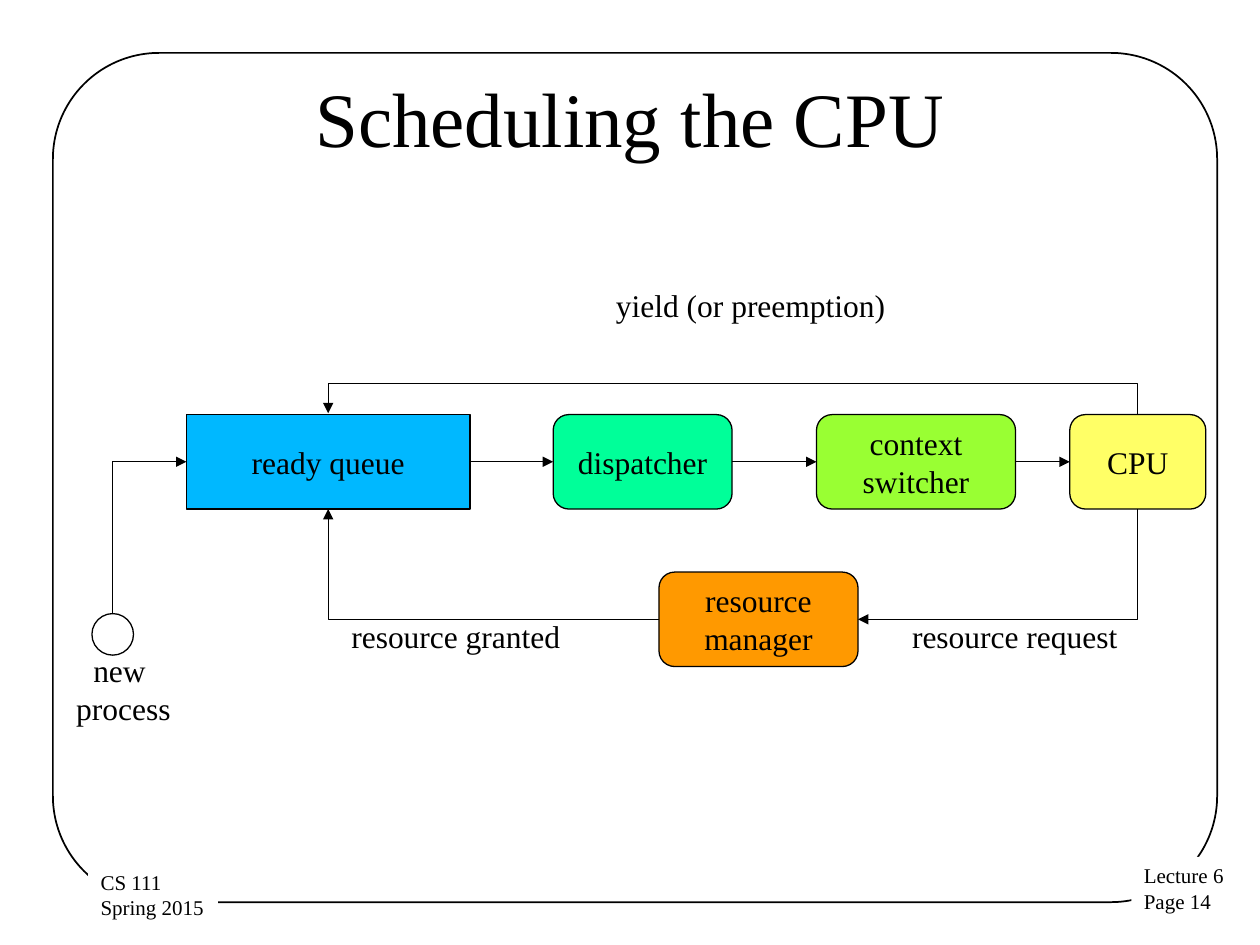
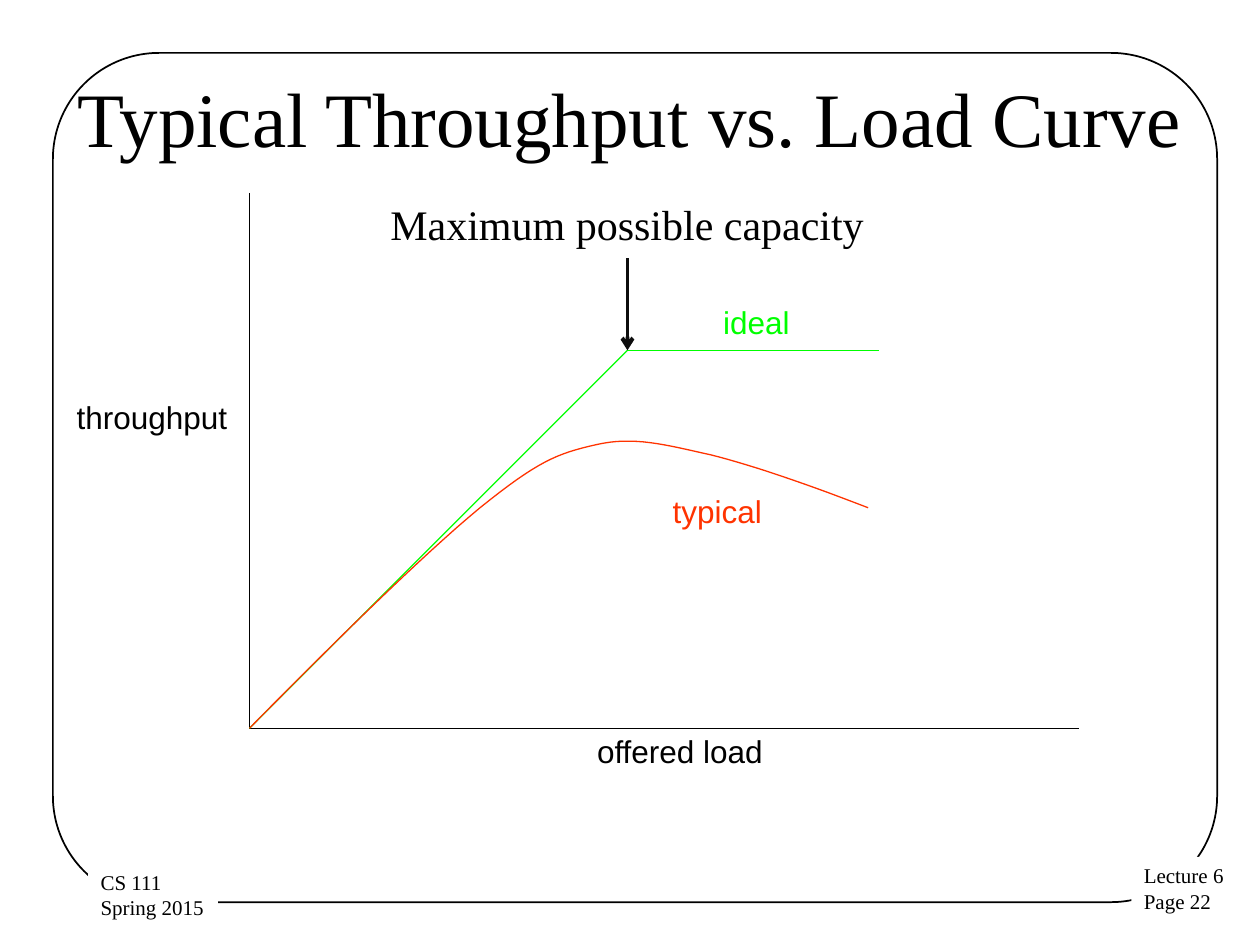
"""Build two lecture slides on CPU scheduling and throughput."""

import dataclasses
import itertools

import lxml.etree
import pptx
import pptx.dml.color
import pptx.enum.shapes
import pptx.enum.text
import pptx.oxml.ns
import pptx.presentation
import pptx.shapes.connector
import pptx.slide
import pptx.text.text
import pptx.util

Inches = pptx.util.Inches
Pt = pptx.util.Pt
RGBColor = pptx.dml.color.RGBColor
Shapes = pptx.enum.shapes.MSO_SHAPE
Connectors = pptx.enum.shapes.MSO_CONNECTOR
Align = pptx.enum.text.PP_ALIGN
Point = tuple[float, float]

BLACK = RGBColor(0x00, 0x00, 0x00)
WHITE = RGBColor(0xFF, 0xFF, 0xFF)
BLUE = RGBColor(0x00, 0xB8, 0xFF)
MINT = RGBColor(0x00, 0xFF, 0x99)
LIME = RGBColor(0x99, 0xFF, 0x33)
YELLOW = RGBColor(0xFF, 0xFF, 0x66)
ORANGE = RGBColor(0xFF, 0x99, 0x00)
GREEN = RGBColor(0x00, 0xFF, 0x00)
RED = RGBColor(0xFF, 0x33, 0x00)
NEAR_BLACK = RGBColor(0x0D, 0x0D, 0x0D)
SERIF = "Times New Roman"
SANS = "Arial"
THIN = 0.75
NODE_HEIGHT = 0.75
ROW_TOP = 3.29


@dataclasses.dataclass(frozen=True)
class Label:
    """A text box with its place and type style."""

    text: str
    left: float
    top: float
    width: float
    height: float
    size: float = 18
    font: str = SERIF
    color: RGBColor = BLACK
    align: Align = Align.LEFT
    fill: RGBColor | None = None


@dataclasses.dataclass(frozen=True)
class Node:
    """A box of the scheduling diagram."""

    text: str
    left: float
    top: float
    width: float
    fill: RGBColor | None
    height: float = NODE_HEIGHT
    outline: Shapes = Shapes.FLOWCHART_ALTERNATE_PROCESS
    line_width: float = THIN

    @property
    def right(self) -> float:
        """Return the right edge."""
        return self.left + self.width

    @property
    def bottom(self) -> float:
        """Return the lower edge."""
        return self.top + self.height

    @property
    def center(self) -> Point:
        """Return the middle point."""
        return self.left + self.width / 2, self.top + self.height / 2


@dataclasses.dataclass(frozen=True)
class Line:
    """A straight line, with an arrowhead if one is named."""

    start: Point
    end: Point
    color: RGBColor = BLACK
    width: float = THIN
    head: str | None = None


@dataclasses.dataclass(frozen=True)
class Elbow:
    """A bent arrow, turned clockwise by a multiple of 90 degrees."""

    start: Point
    end: Point
    rotation: int
    detour: float | None = None


FRAME = Node("", 0.42, 0.42, 9.24, None, 6.74, Shapes.ROUNDED_RECTANGLE, 1)
READY = Node("ready queue", 1.48, ROW_TOP, 2.25, BLUE, outline=Shapes.RECTANGLE)
DISPATCHER = Node("dispatcher", 4.39, ROW_TOP, 1.42, MINT)
SWITCHER = Node("context\nswitcher", 6.48, ROW_TOP, 1.58, LIME)
CPU = Node("CPU", 8.49, ROW_TOP, 1.08, YELLOW)
MANAGER = Node("resource\nmanager", 5.23, 4.54, 1.58, ORANGE)
NEW_PROCESS = Node("", 0.73, 4.87, 0.33, None, 0.33, Shapes.OVAL)
STAGES = [READY, DISPATCHER, SWITCHER, CPU]

ELBOWS = [
    Elbow((CPU.center[0], CPU.top), (READY.center[0], READY.top - 0.01), 270, 0.25),
    Elbow((CPU.center[0], CPU.bottom), (MANAGER.right, MANAGER.center[1]), 90),
    Elbow((MANAGER.left, MANAGER.center[1]), (READY.center[0], READY.bottom), 180),
    Elbow((NEW_PROCESS.center[0], NEW_PROCESS.top), (READY.left, READY.center[1]), 270),
]
SCHEDULING_LABELS = [
    Label("yield (or preemption)", 4.79, 2.22, 2.38, 0.4),
    Label("resource request", 7.14, 4.85, 1.85, 0.4),
    Label("resource granted", 2.69, 4.85, 1.88, 0.4),
    Label("new \nprocess", 0.5, 5.12, 0.96, 0.71, align=Align.CENTER),
]

ORIGIN = (1.98, 5.78)
KNEE = (4.98, 2.78)
CURVE_LINES = [
    Line((ORIGIN[0], 1.53), ORIGIN),
    Line(ORIGIN, (8.56, ORIGIN[1])),
    Line(ORIGIN, KNEE, GREEN),
    Line(KNEE, (6.98, KNEE[1]), GREEN),
]
CAPACITY_ARROW = Line((KNEE[0], 2.05), KNEE, NEAR_BLACK, 2.25, "arrow")
CURVE_LABELS = [
    Label("throughput ", 0.44, 3.11, 1.6, 0.43, font=SANS, align=Align.CENTER),
    Label("offered load", 4.64, 5.76, 1.67, 0.43, font=SANS),
    Label("ideal", 5.64, 2.36, 0.79, 0.43, font=SANS, color=GREEN),
    Label("typical", 5.24, 3.86, 0.99, 0.43, font=SANS, color=RED),
    Label("Maximum possible capacity", 3, 1.53, 4, 0.5, 24),
]
TYPICAL_CURVE = [
    ORIGIN,
    (2.66, 5.09), (3.35, 4.41), (3.81, 4.03),
    (4.27, 3.66), (4.42, 3.6), (4.73, 3.53),
    (5.03, 3.46), (5.28, 3.53), (5.64, 3.61),
    (6, 3.7), (6.45, 3.86), (6.89, 4.03),
]


def style_text(
    frame: pptx.text.text.TextFrame, text: str, size: float, font: str, color: RGBColor, align: Align
) -> None:
    """Write unwrapped text and format every run."""
    frame.text = text
    frame.word_wrap = False
    for paragraph in frame.paragraphs:
        paragraph.alignment = align
        for run in paragraph.runs:
            run.font.size = Pt(size)
            run.font.name = font
            run.font.color.rgb = color


def add_label(slide: pptx.slide.Slide, label: Label) -> None:
    """Draw a text box that fits its text."""
    shape = slide.shapes.add_textbox(
        Inches(label.left), Inches(label.top), Inches(label.width), Inches(label.height)
    )
    style_text(shape.text_frame, label.text, label.size, label.font, label.color, label.align)
    shape.text_frame.auto_size = pptx.enum.text.MSO_AUTO_SIZE.SHAPE_TO_FIT_TEXT
    if label.fill is not None:
        shape.fill.solid()
        shape.fill.fore_color.rgb = label.fill


def add_node(slide: pptx.slide.Slide, node: Node) -> None:
    """Draw an outlined box with centred text."""
    shape = slide.shapes.add_shape(
        node.outline, Inches(node.left), Inches(node.top), Inches(node.width), Inches(node.height)
    )
    shape.shadow.inherit = False
    shape.line.color.rgb = BLACK
    shape.line.width = Pt(node.line_width)
    if node.fill is None:
        shape.fill.background()
    else:
        shape.fill.solid()
        shape.fill.fore_color.rgb = node.fill
    if node.outline == Shapes.ROUNDED_RECTANGLE:
        shape.adjustments[0] = 0.125
    if node.text:
        shape.text_frame.vertical_anchor = pptx.enum.text.MSO_ANCHOR.MIDDLE
        style_text(shape.text_frame, node.text, 18, SERIF, BLACK, Align.CENTER)


def style_connector(
    connector: pptx.shapes.connector.Connector, color: RGBColor, width: float, head: str | None
) -> None:
    """Set the line, arrowhead and missing shadow of a connector."""
    connector.line.color.rgb = color
    connector.line.width = Pt(width)
    if head:
        line = connector.line._get_or_add_ln()
        lxml.etree.SubElement(line, pptx.oxml.ns.qn("a:tailEnd"), type=head)
    lxml.etree.SubElement(connector._element.spPr, pptx.oxml.ns.qn("a:effectLst"))


def add_line(slide: pptx.slide.Slide, line: Line) -> None:
    """Draw a straight line."""
    ends = [Inches(value) for value in line.start + line.end]
    connector = slide.shapes.add_connector(Connectors.STRAIGHT, *ends)
    style_connector(connector, line.color, line.width, line.head)


def add_elbow(slide: pptx.slide.Slide, elbow: Elbow) -> None:
    """Draw a bent arrow, with a detour past the start if one is given."""
    (start_x, start_y), (end_x, end_y) = elbow.start, elbow.end
    width, height = abs(end_x - start_x), abs(end_y - start_y)
    if elbow.rotation % 180:
        width, height = height, width
    left, top = (start_x + end_x - width) / 2, (start_y + end_y - height) / 2
    connector = slide.shapes.add_connector(
        Connectors.ELBOW, Inches(left), Inches(top), Inches(left + width), Inches(top + height)
    )
    properties = connector._element.spPr
    transform = properties.find(pptx.oxml.ns.qn("a:xfrm"))
    transform.set("rot", str(elbow.rotation * 60000))
    geometry = properties.find(pptx.oxml.ns.qn("a:prstGeom"))
    if elbow.detour is None:
        geometry.set("prst", "bentConnector2")
    else:
        transform.set("flipV", "1")
        guides = geometry.find(pptx.oxml.ns.qn("a:avLst"))
        share = round(elbow.detour / width * 100000)
        lxml.etree.SubElement(guides, pptx.oxml.ns.qn("a:gd"), name="adj1", fmla=f"val {share}")
    style_connector(connector, BLACK, THIN, "triangle")


def bezier_points(controls: list[Point], steps: int = 16) -> list[Point]:
    """Return points along a chain of cubic curves."""
    points = [controls[0]]
    for first in range(0, len(controls) - 1, 3):
        segment = controls[first:first + 4]
        for step in range(1, steps + 1):
            t = step / steps
            weights = ((1 - t) ** 3, 3 * t * (1 - t) ** 2, 3 * t**2 * (1 - t), t**3)
            x, y = (sum(w * p[axis] for w, p in zip(weights, segment)) for axis in (0, 1))
            points.append((x, y))
    return points


def add_curve(slide: pptx.slide.Slide, controls: list[Point], color: RGBColor) -> None:
    """Draw an open smooth curve."""
    points = [(Inches(x), Inches(y)) for x, y in bezier_points(controls)]
    builder = slide.shapes.build_freeform(*points[0])
    builder.add_line_segments(points[1:], close=False)
    shape = builder.convert_to_shape()
    shape.shadow.inherit = False
    shape.fill.background()
    shape.line.color.rgb = color
    shape.line.width = Pt(THIN)


def add_slide(presentation: pptx.presentation.Presentation, title: str, page: int) -> pptx.slide.Slide:
    """Add a slide with its frame, footers and title."""
    slide = presentation.slides.add_slide(presentation.slide_layouts[6])
    add_node(slide, FRAME)
    add_label(slide, Label(f"Lecture 6\nPage {page}", 8.98, 6.8, 0.84, 0.51, 12, fill=WHITE))
    add_label(slide, Label("CS 111\nSpring 2015", 0.7, 6.85, 1.03, 0.51, 12, fill=WHITE))
    shape = slide.shapes.add_textbox(Inches(0.5), Inches(0.3), Inches(9), Inches(1.25))
    style_text(shape.text_frame, title, 44, SERIF, BLACK, Align.CENTER)
    shape.text_frame.word_wrap = True
    shape.text_frame.vertical_anchor = pptx.enum.text.MSO_ANCHOR.MIDDLE
    return slide


def main() -> None:
    """Build and save both slides."""
    presentation = pptx.Presentation()
    presentation.slide_width, presentation.slide_height = Inches(10), Inches(7.5)

    scheduling = add_slide(presentation, "Scheduling the CPU", 14)
    for node in [*STAGES, MANAGER, NEW_PROCESS]:
        add_node(scheduling, node)
    for before, after in itertools.pairwise(STAGES):
        start, end = (before.right, before.center[1]), (after.left, after.center[1])
        add_line(scheduling, Line(start, end, head="triangle"))
    for elbow in ELBOWS:
        add_elbow(scheduling, elbow)
    for label in SCHEDULING_LABELS:
        add_label(scheduling, label)

    throughput = add_slide(presentation, "Typical Throughput vs. Load Curve", 22)
    for line in CURVE_LINES:
        add_line(throughput, line)
    add_curve(throughput, TYPICAL_CURVE, RED)
    add_line(throughput, CAPACITY_ARROW)
    for label in CURVE_LABELS:
        add_label(throughput, label)
    presentation.save("out.pptx")


if __name__ == "__main__":
    main()
